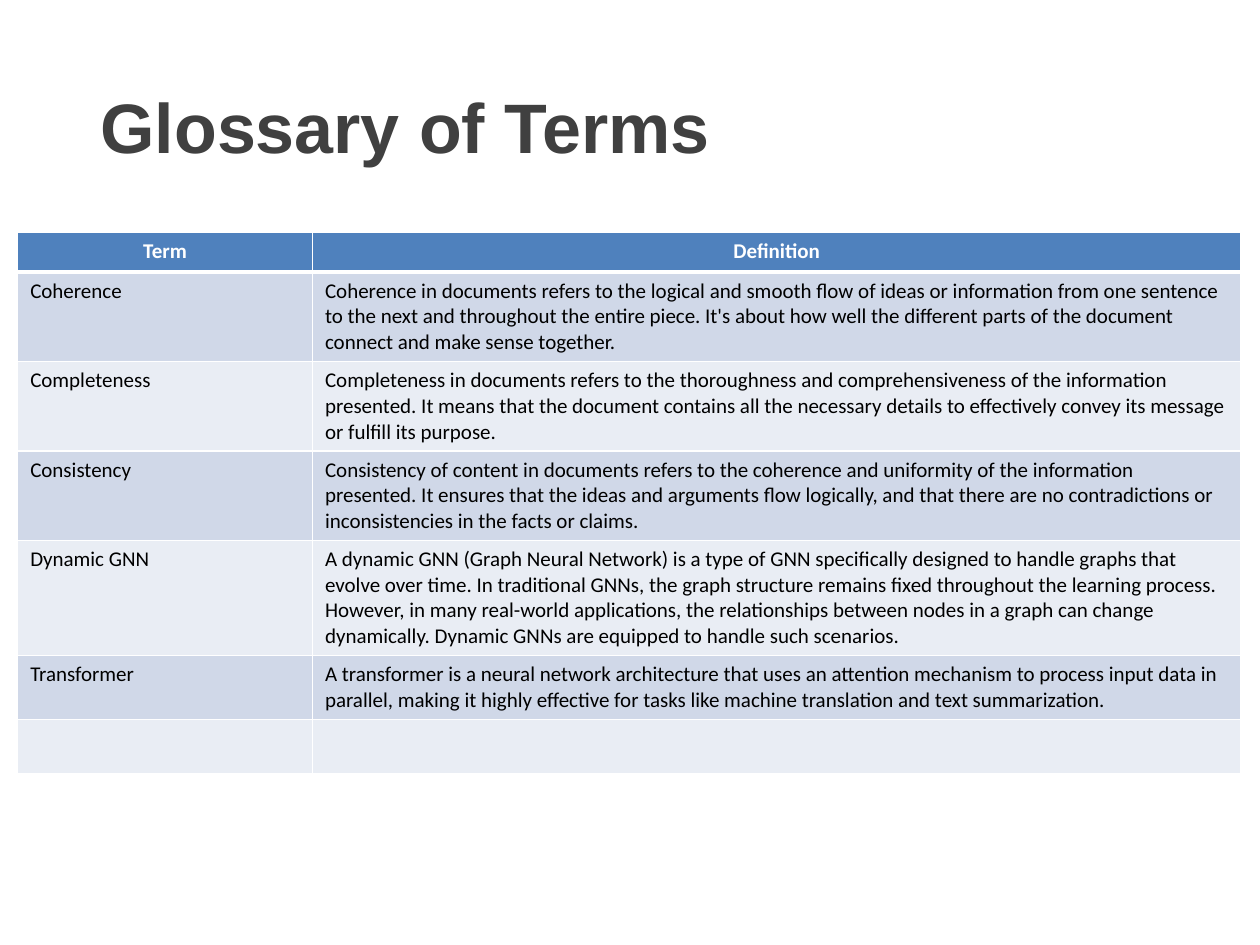
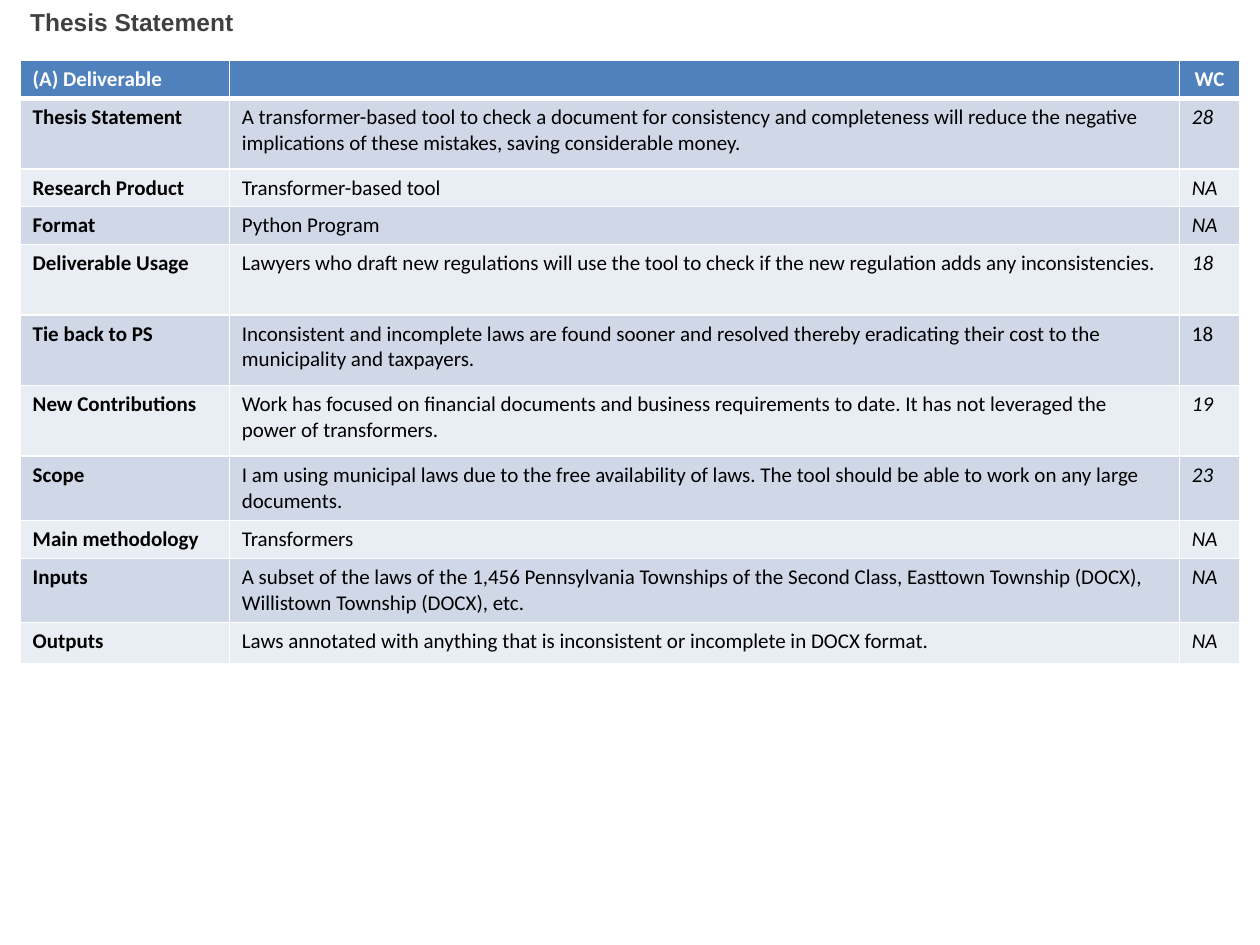
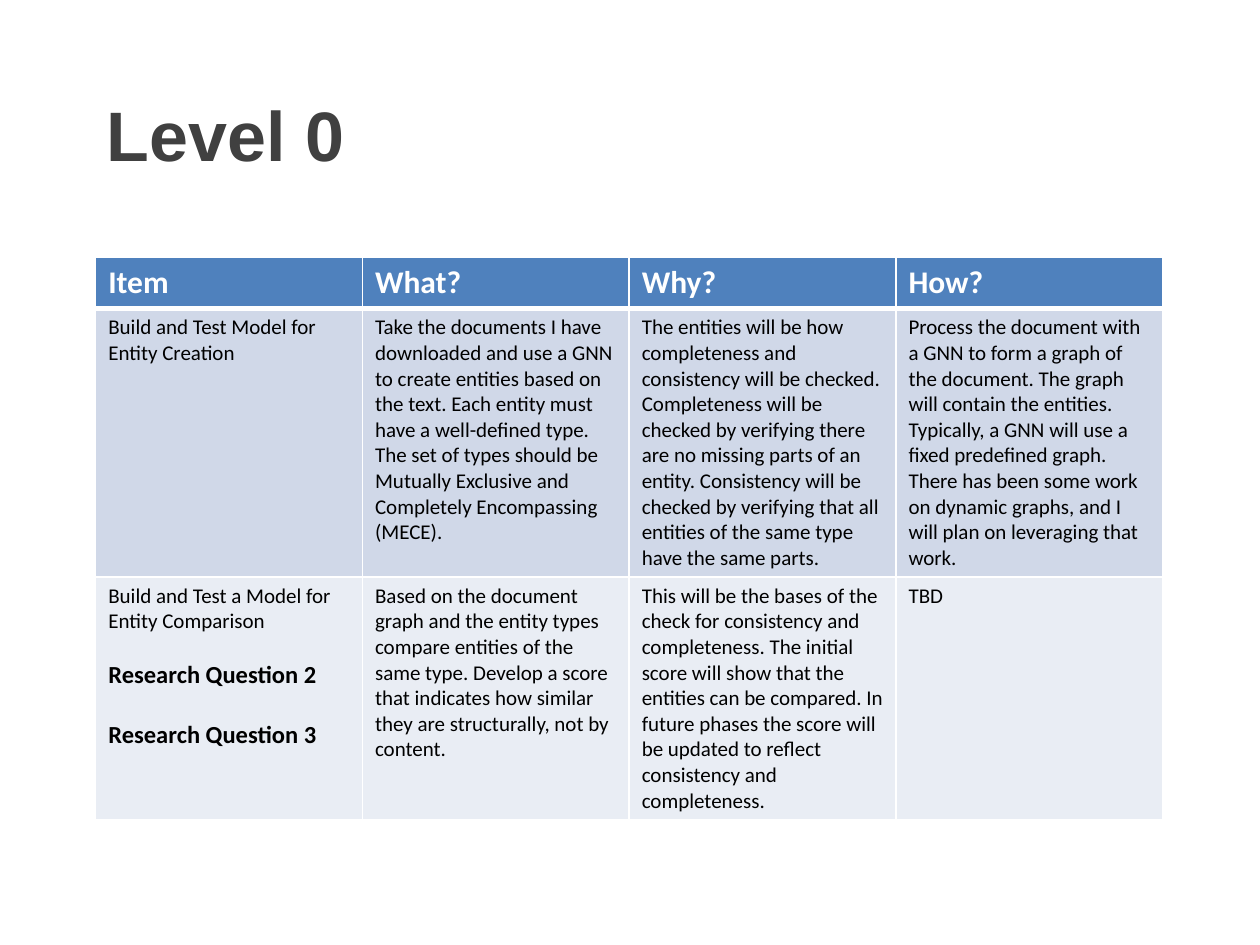
from dataclasses import asdict, dataclass
from itertools import pairwise

from lxml import etree
from pptx import Presentation
from pptx.dml.color import RGBColor
from pptx.enum.text import MSO_ANCHOR, PP_ALIGN
from pptx.oxml.ns import qn
from pptx.util import Emu, Inches, Pt

LEFT, CENTER = PP_ALIGN.LEFT, PP_ALIGN.CENTER
TOP = MSO_ANCHOR.TOP
SLIDE_WIDTH, SLIDE_HEIGHT = Inches(10), Inches(7.5)
GRID_COLUMNS, GRID_ROWS = 100, 75


@dataclass(frozen=True)
class Theme:
    heading_font: str = "Arial"
    body_font: str = "Calibri"
    heading: str = "404040"
    ink: str = "000000"
    paper: str = "FFFFFF"
    header: str = "4F81BD"
    bands: tuple[str, str] = ("D0D8E8", "E9EDF4")
    title_size: int = 40
    column_heading_size: int = 18
    subtitle_size: int = 14
    body_size: int = 12
    rule: float = 1
    header_rule: float = 3


THEME = Theme()


@dataclass(frozen=True)
class Line:
    text: str
    size: int = THEME.body_size
    bold: bool = False
    italic: bool = False
    color: str = THEME.ink
    font: str = THEME.body_font
    align: PP_ALIGN = LEFT
    space_before: float = 0


@dataclass(frozen=True)
class Area:
    column: float
    row: float
    columns: float
    rows: float


@dataclass(frozen=True)
class Title:
    text: str
    area: Area
    size: int = THEME.title_size
    top_inset: float = 1.1


@dataclass(frozen=True)
class Grid:
    column: float
    row: float
    widths: list[float]
    heights: list[float]
    cells: list[list[list[Line]]]


def across(columns: float) -> Emu:
    return Emu(round(SLIDE_WIDTH * columns / GRID_COLUMNS))


def down(rows: float) -> Emu:
    return Emu(round(SLIDE_HEIGHT * rows / GRID_ROWS))


def write_text(paragraph, text: str, *, size: int, bold: bool, italic: bool, color: str,
               font: str, align: PP_ALIGN, space_before: float) -> None:
    paragraph.alignment = align
    paragraph.space_before = Pt(space_before)
    if not text:
        paragraph._p.get_or_add_endParaRPr().set("sz", str(size * 100))
        return
    run = paragraph.add_run()
    run.text = text
    run.font.size, run.font.name = Pt(size), font
    run.font.bold, run.font.italic = bold, italic
    run.font.color.rgb = RGBColor.from_string(color)


def write_lines(frame, lines: list[Line]) -> None:
    frame.word_wrap = True
    for index, line in enumerate(lines):
        paragraph = frame.add_paragraph() if index else frame.paragraphs[0]
        write_text(paragraph, **asdict(line))


def draw_title(slide, title: Title) -> None:
    area = title.area
    frame = slide.shapes.add_textbox(across(area.column), down(area.row),
                                     across(area.columns), down(area.rows)).text_frame
    frame.vertical_anchor = TOP
    frame.margin_top = down(title.top_inset)
    write_lines(frame, [Line(title.text, size=title.size, bold=True,
                             color=THEME.heading, font=THEME.heading_font)])


def draw_borders(cell, top: float, bottom: float) -> None:
    properties = cell._tc.get_or_add_tcPr()
    weights = {"a:lnL": THEME.rule, "a:lnR": THEME.rule, "a:lnT": top, "a:lnB": bottom}
    for side, weight in weights.items():
        edge = etree.SubElement(properties, qn(side), w=str(Pt(weight)))
        fill = etree.SubElement(edge, qn("a:solidFill"))
        etree.SubElement(fill, qn("a:srgbClr"), val=THEME.paper)


def draw_grid(slide, grid: Grid) -> None:
    table = slide.shapes.add_table(
        len(grid.heights), len(grid.widths), across(grid.column), down(grid.row),
        across(sum(grid.widths)), down(sum(grid.heights))).table
    table.first_row = table.horz_banding = False
    for column, width in zip(table.columns, grid.widths):
        column.width = across(width)
    for row, height in zip(table.rows, grid.heights):
        row.height = down(height)
    fills = [THEME.header] + [THEME.bands[n % 2] for n in range(len(grid.heights) - 1)]
    rules = [THEME.rule, THEME.header_rule] + [THEME.rule] * (len(grid.heights) - 1)
    for row, entries, fill, (top, bottom) in zip(table.rows, grid.cells, fills, pairwise(rules)):
        for cell, lines in zip(row.cells, entries):
            draw_borders(cell, top, bottom)
            cell.fill.solid()
            cell.fill.fore_color.rgb = RGBColor.from_string(fill)
            write_lines(cell.text_frame, lines)


def heading(text: str, size: int = THEME.body_size, align: PP_ALIGN = LEFT) -> list[Line]:
    return [Line(text, size=size, bold=True, color=THEME.paper, align=align)]


def deliverable(name: str, answer: str, word_count: str = "NA",
                italic: bool = True) -> list[list[Line]]:
    return [[Line(name, bold=True)], [Line(answer)], [Line(word_count, italic=italic)]]


GLOSSARY = [
    ("Coherence", "Coherence in documents refers to the logical and smooth flow of ideas or "
     "information from one sentence to the next and throughout the entire piece. It's about how "
     "well the different parts of the document connect and make sense together."),
    ("Completeness", "Completeness in documents refers to the thoroughness and comprehensiveness "
     "of the information presented. It means that the document contains all the necessary "
     "details to effectively convey its message or fulfill its purpose."),
    ("Consistency", "Consistency of content in documents refers to the coherence and uniformity "
     "of the information presented. It ensures that the ideas and arguments flow logically, and "
     "that there are no contradictions or inconsistencies in the facts or claims."),
    ("Dynamic GNN", "A dynamic GNN (Graph Neural Network) is a type of GNN specifically designed "
     "to handle graphs that evolve over time. In traditional GNNs, the graph structure remains "
     "fixed throughout the learning process. However, in many real-world applications, the "
     "relationships between nodes in a graph can change dynamically. Dynamic GNNs are equipped "
     "to handle such scenarios."),
    ("Transformer", "A transformer is a neural network architecture that uses an attention "
     "mechanism to process input data in parallel, making it highly effective for tasks like "
     "machine translation and text summarization."),
    ("", ""),
]

DELIVERABLES = [
    deliverable("Thesis Statement", "A transformer-based tool to check a document for "
                "consistency and completeness will reduce the negative implications of these "
                "mistakes, saving considerable money.", "28"),
    deliverable("Research Product", "Transformer-based tool"),
    deliverable("Format", "Python Program"),
    deliverable("Deliverable Usage", "Lawyers who draft new regulations will use the tool to "
                "check if the new regulation adds any inconsistencies.", "18"),
    deliverable("Tie back to PS", "Inconsistent and incomplete laws are found sooner and "
                "resolved thereby eradicating their cost to the municipality and taxpayers.",
                "18", italic=False),
    deliverable("New Contributions", "Work has focused on financial documents and business "
                "requirements to date. It has not leveraged the power of transformers.", "19"),
    deliverable("Scope", "I am using municipal laws due to the free availability of laws. The "
                "tool should be able to work on any large documents.", "23"),
    deliverable("Main methodology", "Transformers"),
    deliverable("Inputs", "A subset of the laws of the 1,456 Pennsylvania Townships of the "
                "Second Class, Easttown Township (DOCX), Willistown Township (DOCX), etc."),
    deliverable("Outputs", "Laws annotated with anything that is inconsistent or incomplete in "
                "DOCX format."),
]

ENTITY_CREATION = [
    "Build and Test Model for Entity Creation",
    "Take the documents I have downloaded and use a GNN to create entities based on the text. "
    "Each entity must have a well-defined type. The set of types should be Mutually Exclusive "
    "and Completely Encompassing (MECE).",
    "The entities will be how completeness and consistency will be checked. Completeness will be "
    "checked by verifying there are no missing parts of an entity. Consistency will be checked "
    "by verifying that all entities of the same type have the same parts.",
    "Process the document with a GNN to form a graph of the document. The graph will contain the "
    "entities. Typically, a GNN will use a fixed predefined graph. There has been some work on "
    "dynamic graphs, and I will plan on leveraging that work.",
]

ENTITY_COMPARISON = [
    "Based on the document graph and the entity types compare entities of the same type. Develop "
    "a score that indicates how similar they are structurally, not by content.",
    "This will be the bases of the check for consistency and completeness. The initial score "
    "will show that the entities can be compared. In future phases the score will be updated to "
    "reflect consistency and completeness.",
    "TBD",
]

COMPARISON_ITEM = [
    Line("Build and Test a Model for Entity Comparison"),
    Line("Research Question 2", size=THEME.subtitle_size, bold=True, space_before=14.6),
    Line("Research Question 3", size=THEME.subtitle_size, bold=True, space_before=17.1),
]

SLIDES = [
    (Title("Glossary of Terms", Area(7, 5.5, 86.1, 11.5)),
     Grid(1.4, 18.4, [23.4, 73.7], [3.2, 7.1, 7.1, 7.1, 9.1, 5.1, 4.3],
          [[heading(name, align=CENTER) for name in ("Term", "Definition")]]
          + [[[Line(term)], [Line(definition)]] for term, definition in GLOSSARY])),
    (Title("Thesis Statement", Area(1.4, 0, 84.8, 6.8), THEME.subtitle_size, 0.55),
     Grid(1.6, 4.8, [16.6, 75.4, 4.8], [3, 5.6, 3, 3, 5.6, 5.6, 5.6, 5.1, 3, 5.1, 3.3],
          [[heading("(A) Deliverable"), heading(""), heading("WC", align=CENTER)]]
          + DELIVERABLES)),
    (Title("Level 0", Area(7.5, 6.2, 84.8, 11.5)),
     Grid(7.6, 20.4, [21.17] * 4, [4.1, 21.3, 19.3],
          [[heading(name, THEME.column_heading_size)
            for name in ("Item", "What?", "Why?", "How?")],
           [[Line(text)] for text in ENTITY_CREATION],
           [COMPARISON_ITEM] + [[Line(text)] for text in ENTITY_COMPARISON]])),
]


def main() -> None:
    deck = Presentation()
    deck.slide_width, deck.slide_height = SLIDE_WIDTH, SLIDE_HEIGHT
    for title, grid in SLIDES:
        slide = deck.slides.add_slide(deck.slide_layouts[6])
        draw_grid(slide, grid)
        draw_title(slide, title)
    deck.save("out.pptx")


if __name__ == "__main__":
    main()
